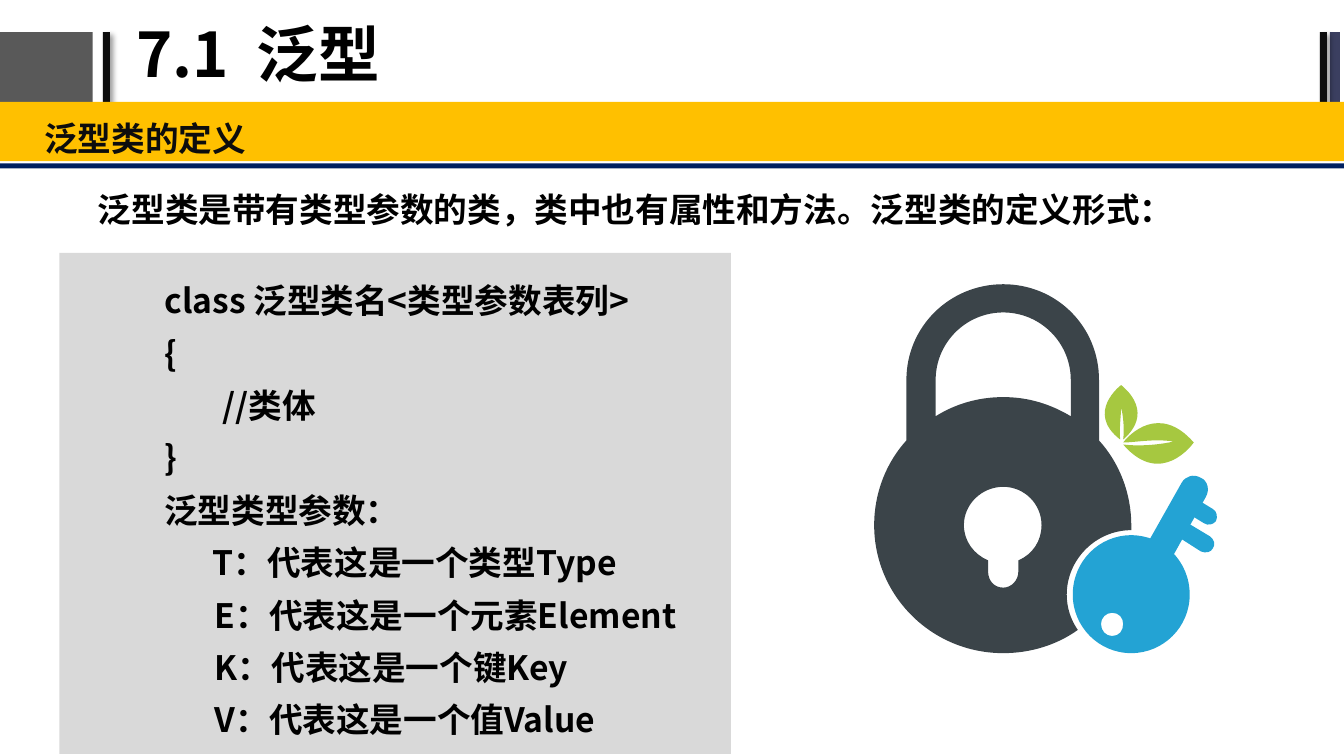
"""Build the slide that introduces the definition of generic classes."""
from dataclasses import dataclass

from lxml import etree
from pptx import Presentation
from pptx.dml.color import RGBColor
from pptx.enum.shapes import MSO_SHAPE
from pptx.enum.text import MSO_ANCHOR, MSO_AUTO_SIZE, PP_ALIGN
from pptx.oxml.ns import qn
from pptx.util import Inches, Pt

RECTANGLE = MSO_SHAPE.RECTANGLE
LEFT = PP_ALIGN.LEFT
TOP, MIDDLE = MSO_ANCHOR.TOP, MSO_ANCHOR.MIDDLE
NO_AUTOFIT = MSO_AUTO_SIZE.NONE
FONT = "Noto Sans CJK SC"
COLORS = {
    "black": "000000", "ink": "0D0D0D", "gray": "595959", "slate": "3B3F60",
    "navy": "002060", "amber": "FFC000", "panel": "D9D9D9",
    "lock": "3B4449", "key": "23A3D4", "leaf": "A6C840",
}


@dataclass
class Bar:
    """A plain rectangle, in inches."""
    left: float
    top: float
    width: float
    height: float
    color: str
    shadow: bool = False


@dataclass
class Line:
    """A paragraph with its left margin and first-line indent in inches."""
    text: str
    margin: float = 0
    indent: float = 0
    level: int = 0


@dataclass
class TextBlock:
    """A text box with uniformly formatted paragraphs."""
    left: float
    top: float
    width: float
    height: float
    lines: list[Line]
    spacing: float
    before: float = 0
    color: str = "black"


@dataclass
class Outline:
    """A closed figure: M, L and C commands with points in inches."""
    color: str
    commands: str


BARS = [
    Bar(0, 0.32, 0.92, 0.76, "gray"),
    Bar(1.02, 0.32, 0.07, 0.76, "ink", shadow=True),
    Bar(13.19, 0.32, 0.1, 0.76, "slate"),
    Bar(13.09, 0.32, 0.07, 0.76, "ink", shadow=True),
    Bar(0, 1.62, 13.33, 0.05, "navy"),
    Bar(0, 1.01, 13.33, 0.59, "amber"),
    Bar(0.59, 2.51, 6.66, 4.97, "panel"),
]

TEXTS = [
    TextBlock(0.31, 1.02, 13.02, 0.58, [Line("泛型类的定义")], 1.2, 4.8, "ink"),
    TextBlock(0.84, 1.6, 10.91, 0.58,
              [Line("泛型类是带有类型参数的类，类中也有属性和方法。泛型类的定义形式：")], 1.5, 4.8),
    TextBlock(1, 2.59, 10.58, 4.89, [
        Line("class 泛型类名<类型参数表列>", 0, 0.5),
        Line("{", 0, 0.5),
        Line("//类体", 0.58, 0.5, level=1),
        Line("}", 0, 0.5),
        Line("泛型类型参数：", 0, 0.5),
        Line("T：代表这是一个类型Type", 0, 0.98),
        Line("E：代表这是一个元素Element", 0.5, 0.5),
        Line("K：代表这是一个键Key", 0.5, 0.5),
        Line("V：代表这是一个值Value", 0.5, 0.5),
    ], 1.3),
]

KEY_HEAD = Outline("key", """
    M 11.22 5.31 C 10.9 5.31 10.64 5.57 10.64 5.9 C 10.64 6.22 10.9 6.48 11.22 6.48
    C 11.54 6.48 11.8 6.22 11.8 5.9 C 11.8 5.57 11.54 5.31 11.22 5.31
    M 11.03 6.31 C 10.97 6.31 10.92 6.26 10.92 6.19 C 10.92 6.13 10.97 6.08 11.03 6.08
    C 11.1 6.08 11.14 6.13 11.14 6.19 C 11.14 6.26 11.1 6.31 11.03 6.31""")
PADLOCK = Outline("lock", """
    M 10.9 4.37 L 10.9 3.77 C 10.9 3.24 10.48 2.82 9.95 2.82
    C 9.42 2.82 8.99 3.24 8.99 3.77 L 8.99 4.37 C 8.79 4.59 8.67 4.89 8.67 5.21
    C 8.67 5.91 9.24 6.48 9.95 6.48 C 10.22 6.48 10.48 6.4 10.69 6.25
    C 10.62 6.15 10.58 6.03 10.58 5.9 C 10.58 5.55 10.87 5.26 11.22 5.26
    L 11.22 5.21 C 11.22 4.89 11.1 4.59 10.9 4.37
    M 10.1 5.56 L 10.1 5.67 C 10.1 5.76 10.03 5.83 9.95 5.83
    C 9.86 5.83 9.8 5.76 9.8 5.67 L 9.8 5.56 C 9.66 5.5 9.56 5.37 9.56 5.21
    C 9.56 5 9.74 4.83 9.95 4.83 C 10.16 4.83 10.33 5 10.33 5.21
    C 10.33 5.37 10.24 5.5 10.1 5.56
    M 9.95 3.94 C 9.7 3.94 9.47 4.01 9.28 4.13 L 9.28 3.77
    C 9.28 3.4 9.58 3.1 9.95 3.1 C 10.32 3.1 10.62 3.4 10.62 3.77
    L 10.62 4.13 C 10.42 4.01 10.2 3.94 9.95 3.94""")
KEY_SHAFT = Outline("key", """
    M 11.52 5.72 C 11.48 5.78 11.4 5.81 11.33 5.77 C 11.26 5.74 11.24 5.65 11.28 5.57
    L 11.72 4.79 C 11.76 4.72 11.84 4.7 11.91 4.74
    C 11.98 4.77 12 4.86 11.96 4.93 L 11.52 5.72""")
UPPER_TOOTH = Outline("key", """
    M 12.06 5.17 C 12.04 5.2 11.98 5.22 11.94 5.19 L 11.81 5.11
    C 11.76 5.09 11.75 5.03 11.78 4.99 C 11.8 4.95 11.86 4.94 11.9 4.97
    L 12.03 5.05 C 12.07 5.07 12.08 5.13 12.06 5.17""")
LOWER_TOOTH = Outline("key", """
    M 12.03 5.44 C 12.01 5.48 11.96 5.49 11.91 5.47 L 11.66 5.31
    C 11.62 5.29 11.6 5.24 11.63 5.19 C 11.66 5.15 11.71 5.14 11.75 5.17
    L 12 5.32 C 12.04 5.35 12.06 5.4 12.03 5.44""")
RIGHT_LEAF = Outline("leaf", """
    M 11.84 4.39 C 11.5 4 11.2 4.31 11.14 4.39 C 11.26 4.39 11.44 4.35 11.64 4.38
    C 11.64 4.38 11.4 4.44 11.14 4.41 C 11.52 4.85 11.84 4.39 11.84 4.39""")
LEFT_LEAF = Outline("leaf", """
    M 11.12 4.04 C 11.12 4.04 11.16 4.2 11.14 4.36 C 11.2 4.31 11.44 4.09 11.12 3.82
    C 11.12 3.82 10.76 4.09 11.11 4.36 C 11.1 4.25 11.12 4.1 11.12 4.04""")
OUTLINES = [KEY_HEAD, PADLOCK, KEY_SHAFT, UPPER_TOOTH, LOWER_TOOTH, RIGHT_LEAF, LEFT_LEAF]


def paint(shape, color: str) -> None:
    """Give a shape a flat fill without line or shadow."""
    shape.fill.solid()
    shape.fill.fore_color.rgb = RGBColor.from_string(COLORS[color])
    shape.line.fill.background()
    shape.shadow.inherit = False


def add_bar(slide, bar: Bar) -> None:
    """Draw a rectangle, with a soft shadow if it asks for one."""
    box = map(Inches, (bar.left, bar.top, bar.width, bar.height))
    shape = slide.shapes.add_shape(RECTANGLE, *box)
    paint(shape, bar.color)
    if bar.shadow:
        effects = shape._element.spPr.find(qn("a:effectLst"))
        outer = etree.SubElement(effects, qn("a:outerShdw"), blurRad=str(Pt(4)),
                                 dist=str(Pt(3)), dir="2700000", algn="tl")
        tint = etree.SubElement(outer, qn("a:srgbClr"), val=COLORS["black"])
        etree.SubElement(tint, qn("a:alpha"), val="40000")


def format_paragraph(paragraph, size: float, color: str, spacing: float) -> None:
    """Set a paragraph's alignment, spacing and bold font."""
    paragraph.alignment = LEFT
    paragraph.line_spacing = spacing
    for run in paragraph.runs:
        run.font.name, run.font.size, run.font.bold = FONT, Pt(size), True
        run.font.color.rgb = RGBColor.from_string(COLORS[color])
        etree.SubElement(run.font._element, qn("a:ea"), typeface=FONT)


def add_text(slide, block: TextBlock) -> None:
    """Write a block of indented paragraphs."""
    box = map(Inches, (block.left, block.top, block.width, block.height))
    frame = slide.shapes.add_textbox(*box).text_frame
    frame.word_wrap, frame.vertical_anchor = True, TOP
    frame.margin_left = frame.margin_right = Inches(0.13)
    frame.margin_top = frame.margin_bottom = Inches(0.07)
    frame.text = "\n".join(line.text for line in block.lines)
    for paragraph, line in zip(frame.paragraphs, block.lines):
        format_paragraph(paragraph, 24, block.color, block.spacing)
        paragraph.space_before, paragraph.level = Pt(block.before), line.level
        properties = paragraph._p.get_or_add_pPr()
        properties.set("marL", str(Inches(line.margin)))
        properties.set("indent", str(Inches(line.indent)))


def points_of(figure: str) -> list[tuple]:
    """Return the points of one contour, control points included."""
    numbers = figure.replace("L", " ").replace("C", " ").split()
    lengths = [Inches(float(number)) for number in numbers]
    return list(zip(lengths[::2], lengths[1::2]))


def add_outline(slide, outline: Outline) -> None:
    """Draw a filled figure with holes, joining control points into curves."""
    first, *holes = map(points_of, outline.commands.split("M")[1:])
    builder = slide.shapes.build_freeform(*first[0])
    builder.add_line_segments(first[1:], close=True)
    for hole in holes:
        builder.move_to(*hole[0])
        builder.add_line_segments(hole[1:], close=True)
    shape = builder.convert_to_shape()
    paint(shape, outline.color)
    segments = iter(list(shape._element.iter(qn("a:lnTo"))))
    for command in filter("LC".count, outline.commands):
        segment = next(segments)
        if command == "C":
            segment.tag = qn("a:cubicBezTo")
            for _ in range(2):
                extra = next(segments)
                segment.append(extra[0])
                extra.getparent().remove(extra)


def add_title(slide, text: str) -> None:
    """Place and format the slide title."""
    title = slide.shapes.title
    title.left, title.top, title.width, title.height = map(Inches, (1.25, 0.02, 8.47, 1.1))
    frame = title.text_frame
    frame.text = text
    frame.auto_size, frame.vertical_anchor = NO_AUTOFIT, MIDDLE
    format_paragraph(frame.paragraphs[0], 44, "black", 0.9)


def main() -> None:
    """Assemble and save the slide."""
    deck = Presentation()
    deck.slide_width, deck.slide_height = Inches(13.33), Inches(7.5)
    slide = deck.slides.add_slide(deck.slide_layouts[5])
    add_title(slide, "7.1  泛型")
    for bar in BARS:
        add_bar(slide, bar)
    for block in TEXTS:
        add_text(slide, block)
    for outline in OUTLINES:
        add_outline(slide, outline)
    deck.save("out.pptx")


main()
